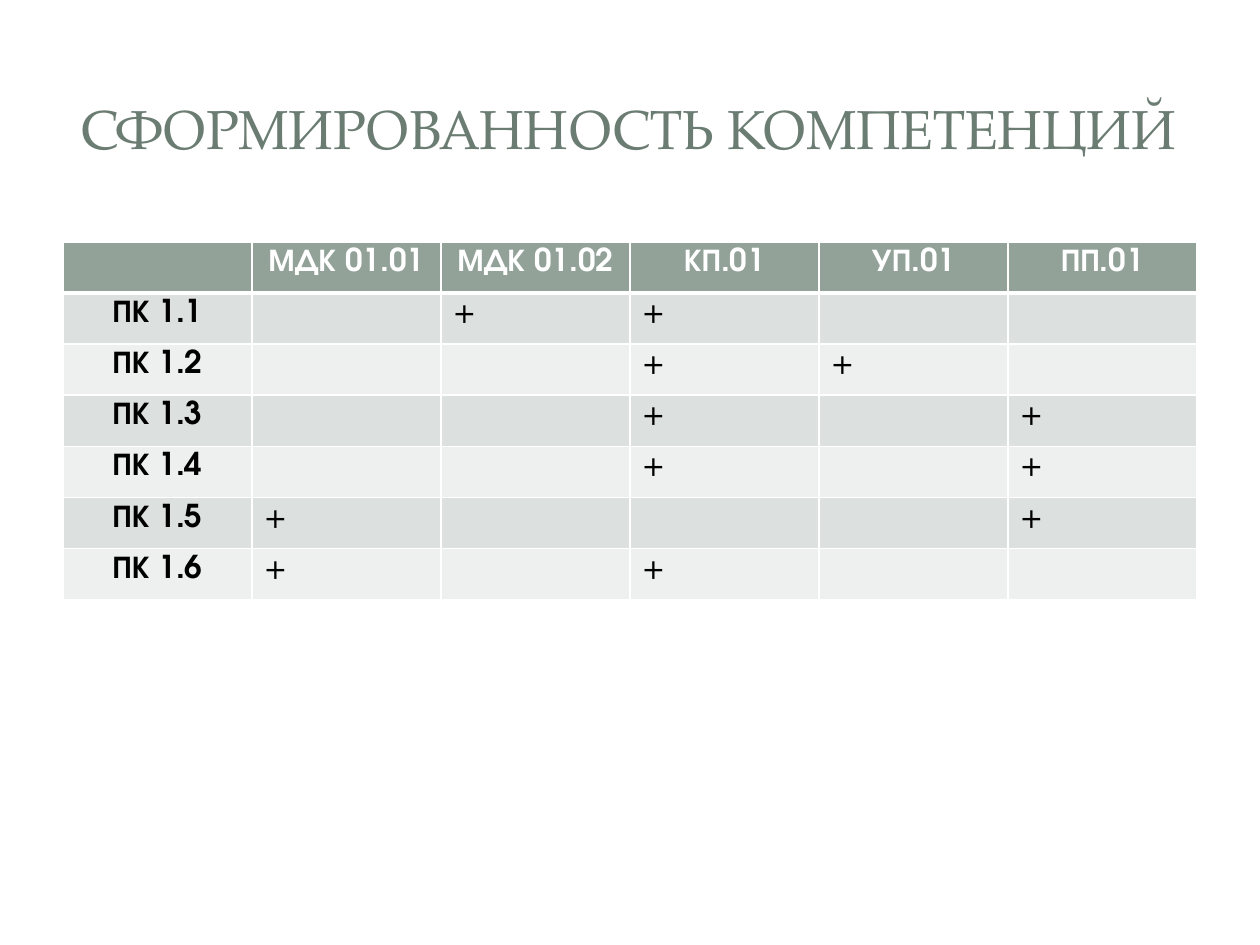
from lxml.etree import SubElement
from pptx import Presentation
from pptx.dml.color import RGBColor
from pptx.enum.shapes import MSO_SHAPE
from pptx.enum.text import MSO_ANCHOR, PP_ALIGN
from pptx.oxml.ns import qn
from pptx.util import Inches, Pt

HEADINGS = ["", "МДК 01.01", "МДК 01.02", "КП.01", "УП.01", "ПП.01"]
COMPETENCES = {
    "ПК 1.1": (2, 3),
    "ПК 1.2": (3, 4),
    "ПК 1.3": (3, 5),
    "ПК 1.4": (3, 5),
    "ПК 1.5": (1, 5),
    "ПК 1.6": (1, 3),
}
WHITE, BLACK, TITLE_COLOR = "FFFFFF", "000000", "6B7D72"
HEADER_FILL, BAND_FILLS = "93A299", ("EEF0EF", "DCE0DE")
TITLE_FONT, TABLE_FONT = "TeX Gyre Pagella", "TeX Gyre Adventor"
COLUMN_WIDTH, ROW_HEIGHT = 1.5, 2.84 / 7


def color(value):
    """Turn a hex string into a colour."""
    return RGBColor.from_string(value)


def style(paragraph, name, size, ink, bold=False, align=PP_ALIGN.LEFT):
    """Set the font and alignment of a paragraph."""
    paragraph.alignment = align
    paragraph.font.name = name
    paragraph.font.size = Pt(size)
    paragraph.font.bold = bold
    paragraph.font.color.rgb = color(ink)


def add_panel(slide, kind, left, top, width, height, opacity=100):
    """Add a white panel without an outline and return it."""
    panel = slide.shapes.add_shape(
        kind, Inches(left), Inches(top), Inches(width), Inches(height))
    panel.shadow.inherit = False
    panel.line.fill.background()
    panel.fill.solid()
    panel.fill.fore_color.rgb = color(WHITE)
    if opacity < 100:
        tint = panel.fill._xPr.find(f".//{qn('a:srgbClr')}")
        SubElement(tint, qn("a:alpha"), val=str(opacity * 1000))
    return panel


def add_panels(slide):
    """Add the slide panel and the two title panels."""
    page = add_panel(slide, MSO_SHAPE.ROUNDED_RECTANGLE, 0.1, 0.11, 9.8, 7.29)
    page.adjustments[0] = 0.02
    add_panel(slide, MSO_SHAPE.RECTANGLE, 0.3, 0.3, 9.4, 1.45, opacity=83)
    add_panel(slide, MSO_SHAPE.RECTANGLE, 0.41, 0.41, 9.17, 1.22)


def add_title(slide, text):
    """Add the centred slide title."""
    box = slide.shapes.add_textbox(Inches(0.47), Inches(0.44), Inches(9.03), Inches(1.14))
    frame = box.text_frame
    frame.word_wrap = True
    frame.vertical_anchor = MSO_ANCHOR.MIDDLE
    frame.text = text
    style(frame.paragraphs[0], TITLE_FONT, 31.5, TITLE_COLOR, align=PP_ALIGN.CENTER)


def set_borders(cell, bottom, top):
    """Draw white borders around a cell before its fill is set."""
    properties = cell._tc.get_or_add_tcPr()
    for side, width in (("L", 1), ("R", 1), ("T", top), ("B", bottom)):
        line = SubElement(properties, qn(f"a:ln{side}"), w=str(Pt(width)))
        fill = SubElement(line, qn("a:solidFill"))
        SubElement(fill, qn("a:srgbClr"), val=WHITE)


def fill_cell(cell, text, row, column):
    """Write and format one table cell by its place in the grid."""
    header = row == 0
    label = header or column == 0
    cell.text = text
    style(cell.text_frame.paragraphs[0], TABLE_FONT, 18, WHITE if header else BLACK,
          label, PP_ALIGN.CENTER if label else PP_ALIGN.LEFT)
    set_borders(cell, bottom=3 if header else 1, top=3 if row == 1 else 1)
    cell.fill.solid()
    cell.fill.fore_color.rgb = color(HEADER_FILL if header else BAND_FILLS[row % 2])


def add_competence_table(slide):
    """Add the table that marks where each competence is formed."""
    columns = range(len(HEADINGS))
    rows = [HEADINGS] + [
        [name] + ["+" if column in marks else "" for column in columns[1:]]
        for name, marks in COMPETENCES.items()
    ]
    table = slide.shapes.add_table(
        len(rows), len(HEADINGS), Inches(0.5), Inches(1.92),
        Inches(COLUMN_WIDTH * len(HEADINGS)), Inches(ROW_HEIGHT * len(rows))).table
    for row, texts in enumerate(rows):
        for column, text in enumerate(texts):
            fill_cell(table.cell(row, column), text, row, column)


def main():
    """Build and save the slide."""
    presentation = Presentation()
    presentation.slide_width, presentation.slide_height = Inches(10), Inches(7.5)
    slide = presentation.slides.add_slide(presentation.slide_layouts[6])
    add_panels(slide)
    add_title(slide, "СФОРМИРОВАННОСТЬ КОМПЕТЕНЦИЙ")
    add_competence_table(slide)
    presentation.save("out.pptx")


main()
